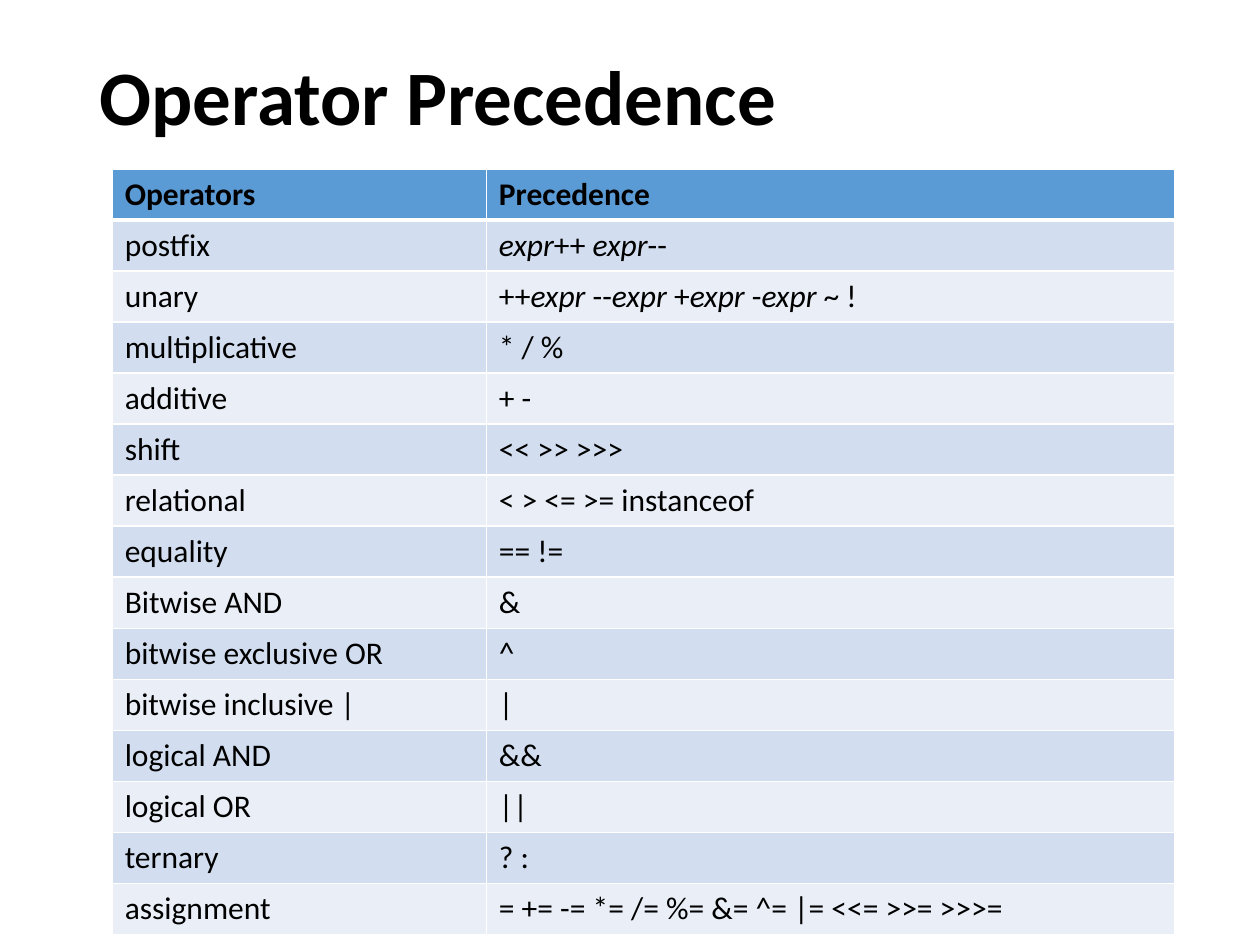
from dataclasses import dataclass

from lxml import etree
from pptx import Presentation
from pptx.dml.color import RGBColor
from pptx.enum.text import MSO_ANCHOR
from pptx.oxml.ns import qn
from pptx.util import Inches, Pt

MIDDLE = MSO_ANCHOR.MIDDLE
FONT = "Calibri"
BLACK = RGBColor(0x00, 0x00, 0x00)
WHITE = RGBColor(0xFF, 0xFF, 0xFF)
BLUE = RGBColor(0x5B, 0x9B, 0xD5)
BANDS = (RGBColor(0xEA, 0xEF, 0xF7), RGBColor(0xD2, 0xDE, 0xEF))
SLANTED = "expr"  # this word is set in italics


@dataclass
class Row:
    name: str
    signs: str


ROWS = [
    Row("Operators", "Precedence"),
    Row("postfix", "expr++ expr--"),
    Row("unary", "++expr --expr +expr -expr ~ !"),
    Row("multiplicative", "* / %"),
    Row("additive", "+ -"),
    Row("shift", "<< >> >>>"),
    Row("relational", "< > <= >= instanceof"),
    Row("equality", "== !="),
    Row("Bitwise AND", "&"),
    Row("bitwise exclusive OR", "^"),
    Row("bitwise inclusive |", "|"),
    Row("logical AND", "&&"),
    Row("logical OR", "||"),
    Row("ternary", "? :"),
    Row("assignment", "= += -= *= /= %= &= ^= |= <<= >>= >>>="),
]


def style(run, size: int, bold: bool, italic: bool = False) -> None:
    font = run.font
    font.name, font.size = FONT, Pt(size)
    font.bold, font.italic = bold, italic
    font.color.rgb = BLACK


def edge(cell, side: str, width: float) -> None:
    props = cell._tc.get_or_add_tcPr()
    line = etree.SubElement(props, qn(f"a:ln{side}"), w=str(Pt(width)))
    fill = etree.SubElement(line, qn("a:solidFill"))
    etree.SubElement(fill, qn("a:srgbClr"), val=str(WHITE))


def split(text: str) -> list[str]:
    """Cut the text into pieces, with each slanted word on its own."""
    parts = []
    for part in text.split(SLANTED):
        parts += [part, SLANTED]
    return [part for part in parts[:-1] if part]


def draw_cell(cell, text: str, row: int) -> None:
    para = cell.text_frame.paragraphs[0]
    for part in split(text):
        run = para.add_run()
        run.text = part
        style(run, 18, bold=row == 0, italic=part == SLANTED)
    # Borders come before the fill in the cell properties
    for side in "LRTB":
        thick = (side, row) in (("B", 0), ("T", 1))
        edge(cell, side, 3 if thick else 1)
    cell.fill.solid()
    cell.fill.fore_color.rgb = BANDS[row % 2] if row else BLUE


def draw_title(slide, text: str) -> None:
    box = slide.shapes.add_textbox(Inches(0.69), Inches(0.4), Inches(8.62), Inches(0.8))
    frame = box.text_frame
    frame.word_wrap = True
    frame.vertical_anchor = MIDDLE
    frame.text = text
    para = frame.paragraphs[0]
    para.line_spacing = 0.9
    style(para.runs[0], 44, bold=True)


def draw_table(slide, rows: list[Row]) -> None:
    widths = (Inches(2.97), Inches(5.46))
    shape = slide.shapes.add_table(
        len(rows), len(widths), Inches(0.89), Inches(1.34), sum(widths), Inches(6.08)
    )
    table = shape.table
    for col, width in zip(table.columns, widths):
        col.width = width
    for i, row in enumerate(rows):
        for j, text in enumerate((row.name, row.signs)):
            draw_cell(table.cell(i, j), text, i)


def main() -> None:
    deck = Presentation()
    deck.slide_width, deck.slide_height = Inches(10), Inches(7.5)
    slide = deck.slides.add_slide(deck.slide_layouts[6])
    draw_title(slide, "Operator Precedence")
    draw_table(slide, ROWS)
    deck.save("out.pptx")


if __name__ == "__main__":
    main()
